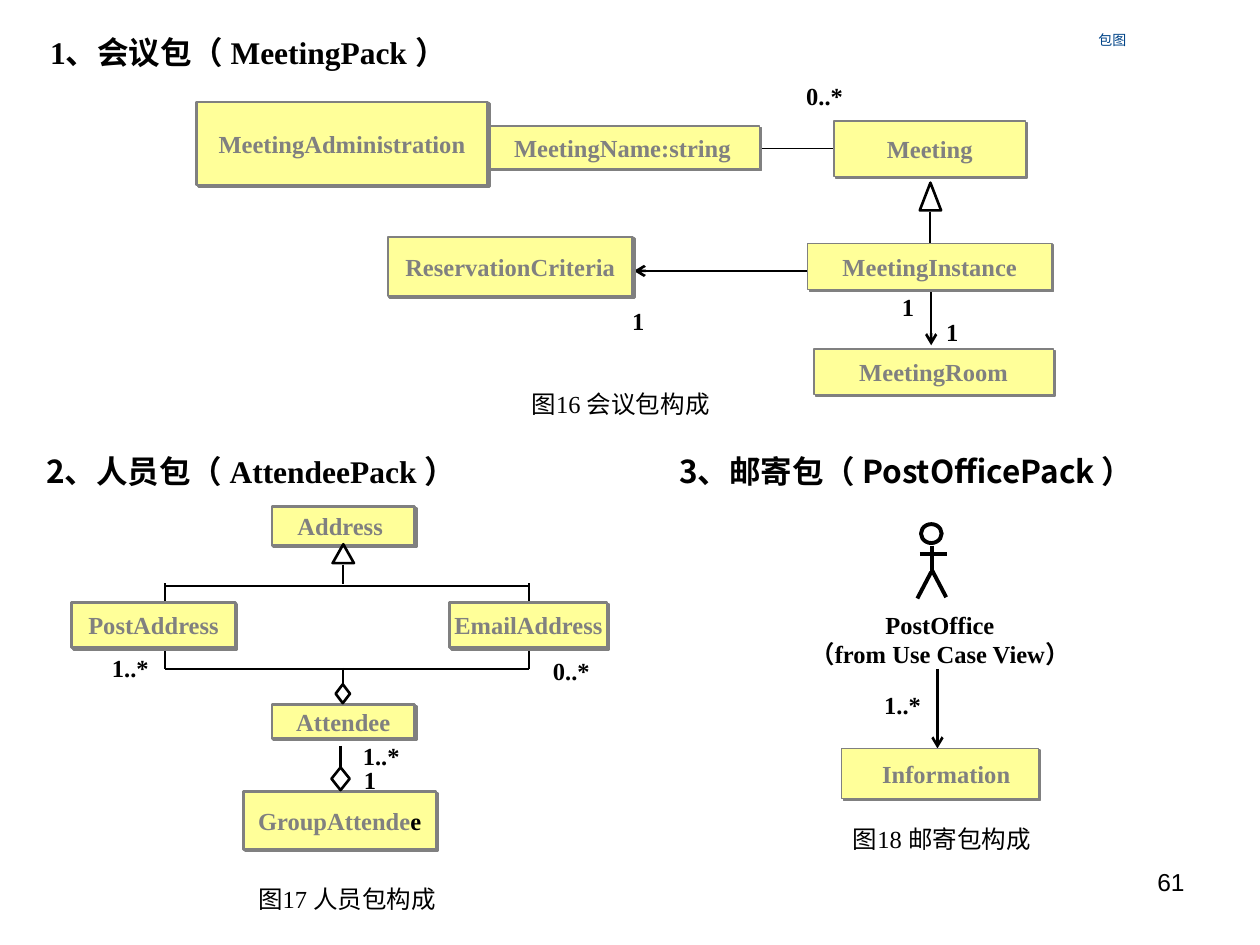
from lxml import etree
from pptx import Presentation
from pptx.dml.color import RGBColor
from pptx.enum import shapes, text
from pptx.oxml.ns import qn
from pptx.util import Pt

SERIF, SANS, CJK = "Times New Roman", "Arial", "Noto Sans CJK SC"
BLACK, GRAY, YELLOW, WHITE, BLUE = "000000", "808080", "FFFF99", "FFFFFF", "004488"
LEFT, CENTER, RIGHT = text.PP_ALIGN.LEFT, text.PP_ALIGN.CENTER, text.PP_ALIGN.RIGHT
TOP, MIDDLE = text.MSO_ANCHOR.TOP, text.MSO_ANCHOR.MIDDLE
INSET = 7.2
THIN, NORMAL, THICK = 0.75, 1.5, 2.25

# Class boxes: name, left, top, width, height, border
CLASSES = [
    ("MeetingName:string", 277.2, 72, 157, 24.5, THIN),
    ("MeetingAdministration", 112.3, 58.3, 166.3, 47.5, NORMAL),
    ("Meeting", 476.6, 69.1, 109.4, 31.7, THIN),
    ("ReservationCriteria", 221.8, 135.4, 139.7, 33.8, NORMAL),
    ("MeetingInstance", 461.5, 139, 139.7, 26.6, THIN),
    ("MeetingRoom", 465.1, 199.4, 136.8, 25.9, THIN),
    ("Address", 155.5, 289.4, 81.4, 22.3, NORMAL),
    ("PostAddress", 41, 344.2, 93.6, 25.9, NORMAL),
    ("EmailAddress", 257, 344.2, 90, 25.9, NORMAL),
    ("Attendee", 155.5, 402.5, 81.4, 19.4, NORMAL),
    ("GroupAttendee", 139, 452.2, 110.2, 33.1, NORMAL),
    ("Information", 481, 427.7, 112.3, 28.8, THIN),
]
EXTRA_INSETS = {"Information": (7, 0), "Address": (0, 3.5)}  # left, right

# Lines: x1, y1, x2, y2, width, arrow
TREE_LEFT, TREE_MIDDLE, TREE_RIGHT = 94.3, 196, 302.4
LINES = [
    (433.4, 85, 475.9, 85, THIN, False),
    (461.5, 154.8, 362.2, 154.8, NORMAL, True),
    (531.4, 121, 531.4, 139.7, NORMAL, False),
    (532.1, 167, 532.1, 197.3, NORMAL, True),
    (TREE_MIDDLE, 322.6, TREE_MIDDLE, 334, NORMAL, False),
    (TREE_MIDDLE, 381.6, TREE_MIDDLE, 391.5, NORMAL, False),
    (194.4, 426.2, 194.4, 447.1, NORMAL, False),
    (535.7, 382.3, 535.7, 427.7, NORMAL, True),
    # Stick figure
    (532.8, 311.8, 532.8, 326.9, THICK, False),
    (532.1, 326.9, 524.2, 342, THICK, False),
    (532.8, 326.2, 540.7, 341.3, THICK, False),
    (525.6, 316.8, 541.4, 316.8, THICK, False),
]
for rail, stub_top, stub_bottom in [(334.8, 333.4, 344.2), (382.3, 363.6, 382.3)]:
    LINES.append((TREE_LEFT, rail, TREE_RIGHT, rail, NORMAL, False))
    for x in (TREE_LEFT, TREE_RIGHT):
        LINES.append((x, stub_top, x, stub_bottom, NORMAL, False))

# Symbols: kind, left, top, width, height, border, fill
KIND = shapes.MSO_SHAPE
SYMBOLS = [
    (KIND.ISOSCELES_TRIANGLE, 525.6, 104.4, 12.2, 15.8, NORMAL, None),
    (KIND.ISOSCELES_TRIANGLE, 190.1, 311, 12.2, 10.8, NORMAL, None),
    (KIND.DIAMOND, 191.8, 391, 8.2, 10.8, NORMAL, None),
    (KIND.FLOWCHART_DECISION, 189.4, 438.5, 10.4, 13, NORMAL, WHITE),
    (KIND.OVAL, 526.3, 299.5, 11.8, 10.8, THICK, None),
]

# Headings: runs of (text, font), left, top, width
HEADINGS = [
    ([("1、会议包（ MeetingPack ）", SERIF)], 21.6, 15.1, 414.7),
    ([("2、", CJK), ("人员包（ AttendeePack ）", SERIF)], 19.4, 254.9, 350),
    ([("3、邮寄包（ PostOfficePack ）", CJK)], 381, 254.9, 330),
]
# Captions and multiplicities: text, left, top
CAPTIONS = [("图16 会议包构成", 229, 218.9), ("图17 人员包构成", 72.7, 501.8),
            ("图18 邮寄包构成", 412.6, 467.3)]
MULTIPLICITIES = [
    ("0..*", 453.6, 42.5), ("1", 354.2, 171.4), ("1", 508.3, 163.4), ("1", 533.5, 177.8),
    ("0..*", 308.9, 371.5), ("1..*", 56.9, 369.4), ("1..*", 200.2, 419.8),
    ("1", 200.9, 433.4), ("1..*", 498.2, 391),
]


def color(hex_string):
    return RGBColor.from_string(hex_string)


def style_font(font, size, name, hex_string, bold):
    font.size, font.name, font.bold = Pt(size), name, bold
    font.color.rgb = color(hex_string)


def add_text(left, top, width, height, lines, size=14, name=SERIF, hex_string=BLACK,
             bold=False, align=LEFT, anchor=TOP):
    box = slide.shapes.add_textbox(Pt(left), Pt(top), Pt(width), Pt(height))
    frame = box.text_frame
    frame.word_wrap, frame.vertical_anchor = True, anchor
    frame.text = "\n".join(lines)
    for paragraph in frame.paragraphs:
        paragraph.alignment = align
        style_font(paragraph.font, size, name, hex_string, bold)
    return frame.paragraphs[0]


def add_shape(kind, left, top, width, height, border, fill, line=BLACK):
    shape = slide.shapes.add_shape(kind, Pt(left), Pt(top), Pt(width), Pt(height))
    shape.shadow.inherit = False
    if fill:
        shape.fill.solid()
        shape.fill.fore_color.rgb = color(fill)
    else:
        shape.fill.background()
    shape.line.color.rgb, shape.line.width = color(line), Pt(border)
    return shape


def add_class(name, left, top, width, height, border):
    shape = add_shape(KIND.RECTANGLE, left, top, width, height, border, YELLOW, GRAY)
    # Hard offset shadow
    effects = shape._element.spPr.find(qn("a:effectLst"))
    shadow = etree.SubElement(effects, qn("a:outerShdw"), dist=str(Pt(1.4)), dir="2700000")
    etree.SubElement(shadow, qn("a:srgbClr"), val=GRAY)
    frame = shape.text_frame
    frame.word_wrap, frame.vertical_anchor = False, MIDDLE
    extra_left, extra_right = EXTRA_INSETS.get(name, (0, 0))
    frame.margin_left, frame.margin_right = Pt(INSET + extra_left), Pt(INSET + extra_right)
    paragraph = frame.paragraphs[0]
    paragraph.alignment = CENTER
    style_font(paragraph.font, 14, SERIF, GRAY, True)
    # The last letter of GroupAttendee is black
    parts = [(name[:-1], GRAY), (name[-1], BLACK)] if name == "GroupAttendee" else [(name, GRAY)]
    for part, hex_string in parts:
        run = paragraph.add_run()
        run.text = part
        run.font.color.rgb = color(hex_string)


def add_line(x1, y1, x2, y2, width, arrow):
    line = slide.shapes.add_connector(shapes.MSO_CONNECTOR.STRAIGHT,
                                      Pt(x1), Pt(y1), Pt(x2), Pt(y2))
    line.line.color.rgb, line.line.width = color(BLACK), Pt(width)
    if arrow:
        etree.SubElement(line.line._get_or_add_ln(), qn("a:tailEnd"), type="arrow")
    etree.SubElement(line._element.spPr, qn("a:effectLst"))


presentation = Presentation()
presentation.slide_width, presentation.slide_height = Pt(720), Pt(540)
slide = presentation.slides.add_slide(presentation.slide_layouts[6])

# Diagrams
for line_data in LINES:
    add_line(*line_data)
for class_data in CLASSES:
    add_class(*class_data)
for symbol_data in SYMBOLS:
    add_shape(*symbol_data)

# Headings
for runs, left, top, width in HEADINGS:
    heading = add_text(left, top, width, 28.8, [""], 18, runs[0][1], bold=True)
    for part, font_name in runs:
        run = heading.add_run()
        run.text, run.font.name = part, font_name

# Labels
for caption, left, top in CAPTIONS:
    add_text(left, top, 251.3, 24.5, [caption], align=CENTER)
for multiplicity, left, top in MULTIPLICITIES:
    add_text(left, top, 40, 24.5, [multiplicity], bold=True)
add_text(452.2, 344.9, 169.9, 41, ["PostOffice", "（from Use Case View）"],
         bold=True, align=CENTER)

# Slide title and page number
add_text(552.2, 0, 167, 45.4, ["包图"], 8, SANS, BLUE, align=CENTER, anchor=MIDDLE)
add_text(516.2, 491.8, 167.8, 37.4, ["61"], 14, SANS, align=RIGHT)

presentation.save("out.pptx")
